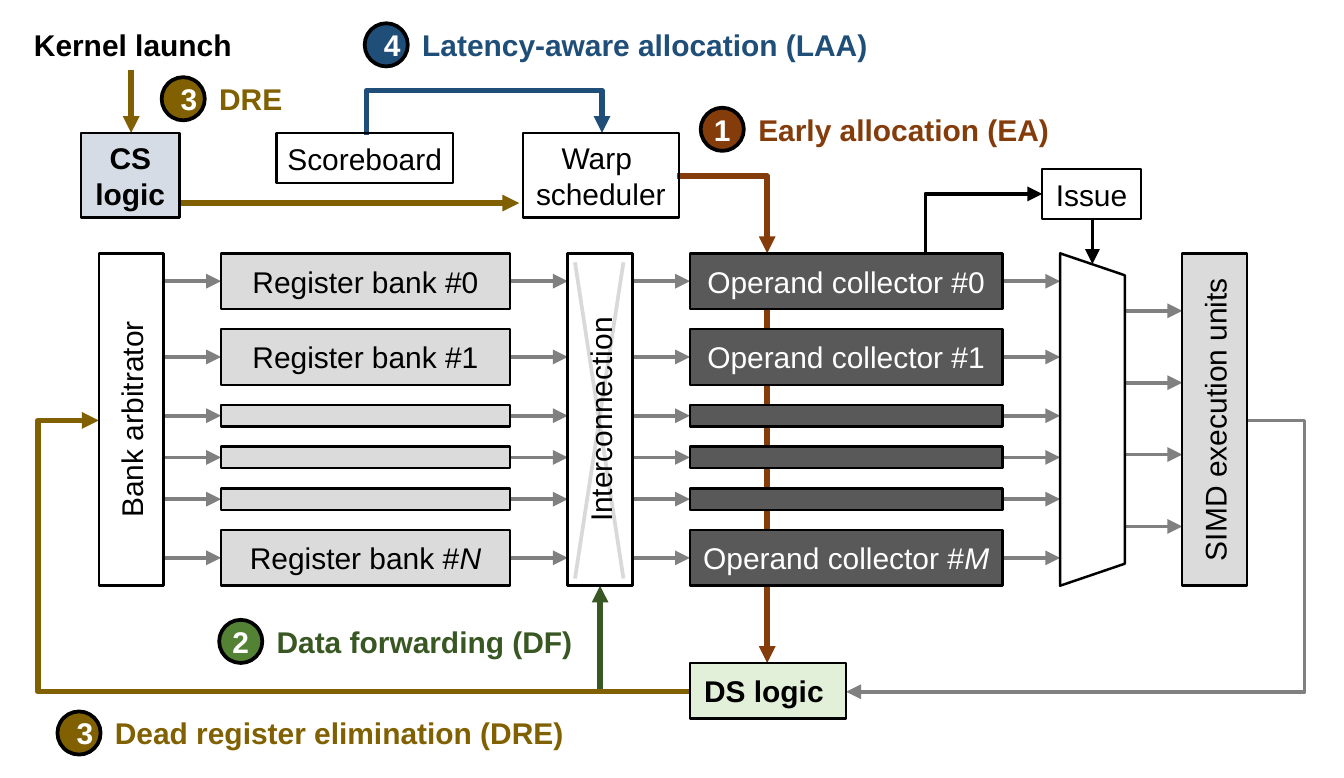
from itertools import accumulate

from lxml import etree
from pptx import Presentation
from pptx.dml.color import RGBColor
from pptx.enum.shapes import MSO_CONNECTOR, MSO_SHAPE
from pptx.enum.text import MSO_ANCHOR, PP_ALIGN
from pptx.oxml.ns import qn
from pptx.util import Inches, Pt

STRAIGHT, ELBOW = MSO_CONNECTOR.STRAIGHT, MSO_CONNECTOR.ELBOW
RECTANGLE, OVAL, TRAPEZOID = MSO_SHAPE.RECTANGLE, MSO_SHAPE.OVAL, MSO_SHAPE.TRAPEZOID
TOP, MIDDLE = MSO_ANCHOR.TOP, MSO_ANCHOR.MIDDLE
LEFT, CENTER = PP_ALIGN.LEFT, PP_ALIGN.CENTER

COLORS = {
    "black": "000000", "white": "FFFFFF", "wire": "808080",
    "bank": "DBDBDB", "collector": "595959", "cs": "D6DCE5", "ds": "E2F0D9",
    "early": "843C0B", "forward": "385723", "forward badge": "548235",
    "dead": "806000", "latency": "1F4E79",
}

SLIDE_SIZE = (7.48, 4.33)
PIPELINE_TOP, PIPELINE_HEIGHT = 1.41, 1.85
COLUMN_GAP = 0.32
COLUMN_WIDTHS = [0.36, 1.61, 0.36, 1.74, 0.36, 0.36]
ROW_HEIGHTS = [0.31, 0.31, 0.12, 0.12, 0.12, 0.31]
BANKS = ["Register bank #0", "Register bank #1", "", "", "", "Register bank #*N*"]
COLLECTORS = ["Operand collector #0", "Operand collector #1", "", "", "",
              "Operand collector #*M*"]
EXECUTION_WIRES = 4

BLOCKS = [
    ("Issue", (5.8, 0.94, 0.55, 0.28), {}),
    ("Scoreboard", (1.54, 0.74, 0.98, 0.28), {}),
    ("Warp \nscheduler", (2.91, 0.74, 0.87, 0.47), {}),
    ("CS\nlogic", (0.45, 0.74, 0.55, 0.47), {"fill": "cs", "bold": True}),
    ("DS logic ", (3.84, 3.69, 0.87, 0.31), {"fill": "ds", "bold": True}),
    ("Kernel launch", (0.13, 0.11, 1.22, 0.28), {"line": None, "bold": True}),
]

BADGES = [
    ("1", "Early allocation (EA)", 3.9, 0.6, 2.48, "early", "early", 0),
    ("2", "Data forwarding (DF)", 1.22, 3.45, 1.8, "forward badge", "forward", 0),
    ("3", "DRE", 0.9, 0.43, 0.5, "dead", "dead", 0.1),
    ("4", "Latency-aware allocation (LAA)", 2.03, 0.13, 2.73, "latency", "latency", 0.1),
    ("3", "Dead register elimination (DRE)", 0.32, 3.96, 2.7, "dead", "dead", 0.1),
]
BADGE_SIZE = 0.24

ARROWS = [
    ((4.27, 1.41), (4.27, 3.69), "early", 2.25),
    ((3.34, 3.85), (3.34, 3.26), "forward", 2.25),
    ((1.01, 1.13), (2.89, 1.13), "dead", 2.25),
    ((0.73, 0.39), (0.73, 0.74), "dead", 2.25),
    ((6.08, 1.22), (6.08, 1.47), "black", 1.5),
]

BENT_ARROWS = [
    ((6.93, 2.34), (4.71, 3.85), "wire", 1.5, {"bend": 7.26}),
    ((3.77, 0.98), (4.27, 1.41), "early", 2.25, {}),
    ((5.15, 1.41), (5.8, 1.08), "black", 1.5, {"upright": True}),
    ((3.84, 3.85), (0.55, 2.34), "dead", 2.25, {"bend": 0.21}),
    ((2.04, 0.75), (3.35, 0.74), "latency", 2.25, {"bend": 0.5, "upright": True}),
]

presentation = Presentation()
presentation.slide_width, presentation.slide_height = map(Inches, SLIDE_SIZE)
slide = presentation.slides.add_slide(presentation.slide_layouts[6])


def rgb(name):
    return RGBColor.from_string(COLORS[name])


def write(shape, text, color="black", bold=False, align=CENTER, anchor=MIDDLE,
          sides=(0, 0), ends=0.05):
    frame = shape.text_frame
    frame.word_wrap = True
    frame.vertical_anchor = anchor
    frame.margin_left, frame.margin_right = map(Inches, sides)
    frame.margin_top = frame.margin_bottom = Inches(ends)
    for index, line in enumerate(text.split("\n")):
        paragraph = frame.add_paragraph() if index else frame.paragraphs[0]
        paragraph.alignment = align
        for part, words in enumerate(line.split("*")):
            if words:
                run = paragraph.add_run()
                run.text = words
                font = run.font
                font.name, font.size, font.bold = "Arial", Pt(12), bold
                font.italic = part % 2 == 1
                font.color.rgb = rgb(color)


def add_box(text, area, kind=RECTANGLE, fill=None, line="black", weight=1, turn=0, **style):
    left, top, width, height = area
    if turn:
        left, top = left + (width - height) / 2, top + (height - width) / 2
        width, height = height, width
    shape = slide.shapes.add_shape(kind, *map(Inches, (left, top, width, height)))
    shape.shadow.inherit = False
    shape.rotation = turn
    if fill:
        shape.fill.solid()
        shape.fill.fore_color.rgb = rgb(fill)
    else:
        shape.fill.background()
    if line:
        shape.line.color.rgb = rgb(line)
        shape.line.width = Pt(weight)
    else:
        shape.line.fill.background()
    if text:
        write(shape, text, **style)
    return shape


def add_line(start, end, color, weight, kind=STRAIGHT, arrow=True):
    connector = slide.shapes.add_connector(kind, *map(Inches, (*start, *end)))
    connector.line.color.rgb = rgb(color)
    connector.line.width = Pt(weight)
    properties = connector._element.spPr
    etree.SubElement(properties, qn("a:effectLst"))
    if arrow:
        etree.SubElement(properties.find(qn("a:ln")), qn("a:tailEnd"), type="triangle")
    return properties


def add_bent_arrow(start, end, color, weight, bend=None, upright=False):
    first, last = start[upright], end[upright]
    if upright:
        center_x, center_y = (start[0] + end[0]) / 2, (start[1] + end[1]) / 2
        half_x, half_y = (end[0] - start[0]) / 2, (end[1] - start[1]) / 2
        start = (center_x - half_y, center_y + half_x)
        end = (center_x + half_y, center_y - half_x)
    properties = add_line(start, end, color, weight, ELBOW)
    if upright:
        properties.find(qn("a:xfrm")).set("rot", str(90 * 60000))
    geometry = properties.find(qn("a:prstGeom"))
    if bend is None:
        geometry.set("prst", "bentConnector2")
    else:
        share = round((bend - first) / (last - first) * 100000)
        etree.SubElement(geometry.find(qn("a:avLst")), qn("a:gd"),
                         name="adj1", fmla=f"val {share}")


column_lefts = list(accumulate((width + COLUMN_GAP for width in COLUMN_WIDTHS[:-1]),
                               initial=0.55))
row_gap = (PIPELINE_HEIGHT - sum(ROW_HEIGHTS)) / (len(ROW_HEIGHTS) - 1)
row_tops = list(accumulate((height + row_gap for height in ROW_HEIGHTS[:-1]),
                           initial=PIPELINE_TOP))
row_centers = [top + height / 2 for top, height in zip(row_tops, ROW_HEIGHTS)]
execution_centers = [1.73 + 0.4 * index for index in range(EXECUTION_WIRES)]
columns = [(left, PIPELINE_TOP, width, PIPELINE_HEIGHT)
           for left, width in zip(column_lefts, COLUMN_WIDTHS)]
arbitrator, bank, interconnection, collector, selector, execution = columns

for start, end, color, weight in ARROWS:
    add_line(start, end, color, weight)
for start, end, color, weight, route in BENT_ARROWS:
    add_bent_arrow(start, end, color, weight, **route)
for source, target in zip(columns, columns[1:]):
    for y in execution_centers if target is execution else row_centers:
        add_line((source[0] + source[2], y), (target[0], y), "wire", 1.5)

for text, area, style in BLOCKS:
    add_box(text, area, **style)
for column, texts, fill, color in [(bank, BANKS, "bank", "black"),
                                   (collector, COLLECTORS, "collector", "white")]:
    for text, top, height in zip(texts, row_tops, ROW_HEIGHTS):
        add_box(text, (column[0], top, column[2], height), fill=fill, color=color)
for text, column, fill in [("Bank arbitrator", arbitrator, "white"),
                           ("Interconnection", interconnection, "white"),
                           ("SIMD execution units", execution, "bank")]:
    add_box(text, column, fill=fill, turn=270)
add_box("", selector, kind=TRAPEZOID, turn=90).adjustments[0] = 0.34

cross_left, cross_right = interconnection[0] + 0.04, interconnection[0] + 0.31
for top_x, bottom_x in [(cross_left, cross_right), (cross_right, cross_left)]:
    properties = add_line((top_x, 1.46), (bottom_x, 3.22), "black", 1.5, arrow=False)
    etree.SubElement(next(properties.iter(qn("a:srgbClr"))), qn("a:alpha"), val="15000")

for number, label, left, top, width, fill, color, side in BADGES:
    add_box(number, (left, top, BADGE_SIZE, BADGE_SIZE), kind=OVAL, fill=fill, weight=1.5,
            color="white", bold=True, sides=(side, side), ends=side / 2)
    caption = slide.shapes.add_textbox(
        *map(Inches, (left + BADGE_SIZE, top - 0.03, width, 0.3)))
    write(caption, label, color=color, bold=True, align=LEFT, anchor=TOP, sides=(0.08, 0))

presentation.save("out.pptx")
